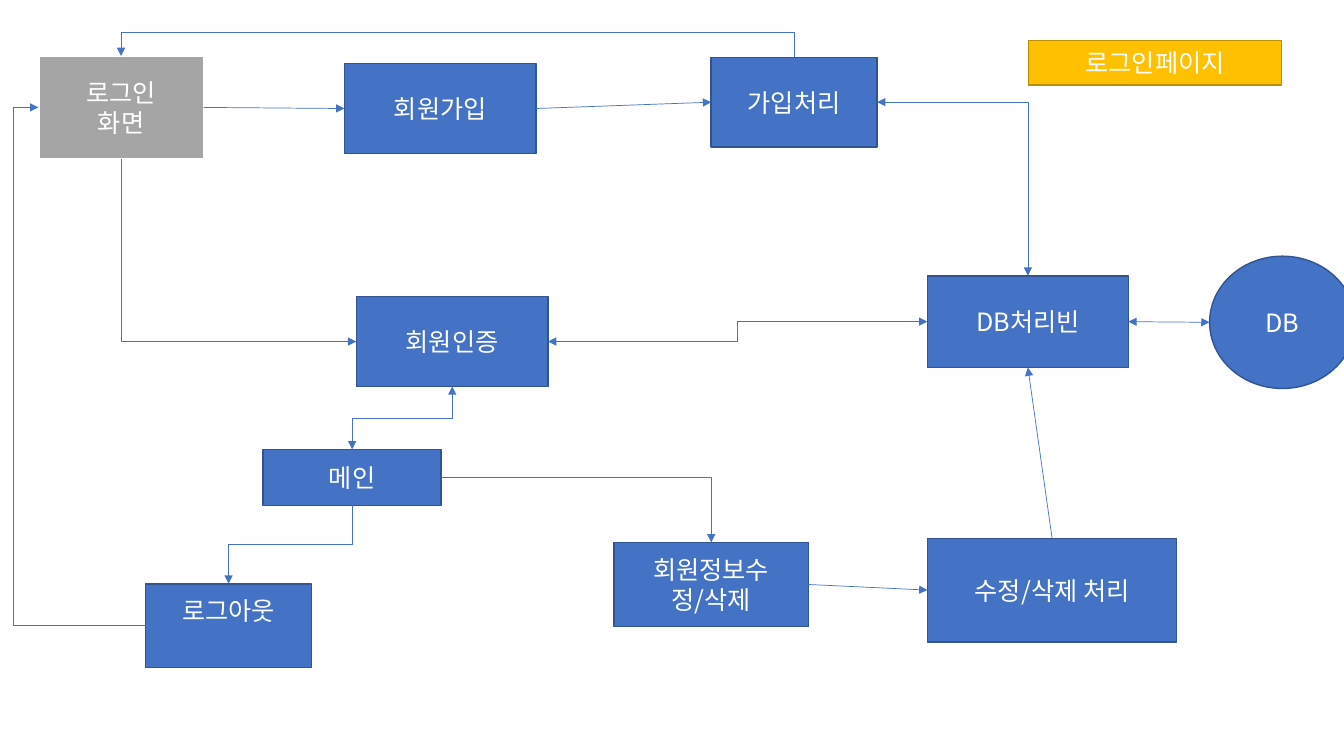
from lxml.etree import SubElement
from pptx import Presentation
from pptx.dml.color import RGBColor
from pptx.enum.shapes import MSO_CONNECTOR as Connector, MSO_SHAPE as Shape
from pptx.enum.text import MSO_ANCHOR as Anchor, MSO_AUTO_SIZE as AutoSize, PP_ALIGN as Align
from pptx.oxml.ns import qn
from pptx.util import Pt

WHITE = RGBColor(0xFF, 0xFF, 0xFF)
GRAY = RGBColor(0xA5, 0xA5, 0xA5)
BLUE = RGBColor(0x44, 0x72, 0xC4)
DARK_BLUE = RGBColor(0x32, 0x54, 0x91)
GOLD = RGBColor(0xFF, 0xC0, 0x00)
DARK_GOLD = RGBColor(0xBD, 0x8E, 0x00)

FONT_NAME = "Noto Sans CJK KR"
FONT_FORMAT = {"name": FONT_NAME, "size": Pt(18), "bold": False}
FRAME_FORMAT = {
    "word_wrap": True, "auto_size": AutoSize.NONE, "vertical_anchor": Anchor.MIDDLE,
    "margin_left": Pt(7.2), "margin_right": Pt(7.2),
    "margin_top": Pt(3.6), "margin_bottom": Pt(3.6),
}

TITLE_BOX = (734.5, 28.8, 181, 32)
NODES = {
    "login": ("로그인\n화면", (27.5, 40, 118, 73.5)),
    "signup": ("회원가입", (246, 45.5, 137, 64)),
    "join": ("가입처리", (508, 41, 118.5, 64)),
    "bean": ("DB처리빈", (662.5, 197, 143.5, 65.5)),
    "database": ("DB", (864, 183, 104, 94.5)),
    "auth": ("회원인증", (254.5, 212, 137, 64)),
    "main": ("메인", (188, 321, 127, 40)),
    "logout": ("로그아웃", (104, 417, 118.5, 60)),
    "edit": ("회원정보수정/삭제", (438.5, 387.5, 139, 60)),
    "process": ("수정/삭제 처리", (662.5, 384.5, 178, 74)),
}
LOOKS = {
    "login": {"fill": GRAY, "line": WHITE, "width": 1.5},
    "database": {"kind": Shape.OVAL},
    "logout": {"bottom": 25},
}

SIDES = {"top": (0.5, 0), "left": (0, 0.5), "bottom": (0.5, 1), "right": (1, 0.5)}
RECTANGLE_SITES = {"top": 0, "left": 1, "bottom": 2, "right": 3}
OVAL_SITES = {"top": 0, "left": 2, "bottom": 4, "right": 6}

STRAIGHT_LINKS = [
    ("login", "right", "signup", "left", False),
    ("signup", "right", "join", "left", False),
    ("bean", "right", "database", "left", True),
    ("edit", "right", "process", "left", False),
    ("process", "top", "bean", "bottom", False),
]
BENT_LINKS = [
    ("join", "top", "login", "top", False, 3, 18),
    ("join", "right", "bean", "top", True, 2, None),
    ("login", "bottom", "auth", "left", False, 2, None),
    ("auth", "right", "bean", "left", True, 3, 0.5),
    ("auth", "bottom", "main", "top", True, 3, 0.5),
    ("logout", "left", "login", "left", False, 3, 1.23),
    ("main", "bottom", "logout", "top", False, 3, 0.5),
    ("main", "right", "edit", "top", False, 2, None),
]


def set_values(target, values):
    for name, value in values.items():
        setattr(target, name, value)


def place(shape, box):
    set_values(shape, dict(zip(("left", "top", "width", "height"), map(Pt, box))))


def paint(shape, fill, line, width):
    shape.fill.solid()
    shape.fill.fore_color.rgb = fill
    shape.line.color.rgb = line
    shape.line.width = Pt(width)
    shape.shadow.inherit = False


def write(shape, text):
    frame = shape.text_frame
    set_values(frame, FRAME_FORMAT)
    frame.text = text
    for paragraph in frame.paragraphs:
        set_values(paragraph, {"alignment": Align.CENTER, "line_spacing": 1.0})
        for run in paragraph.runs:
            set_values(run.font, FONT_FORMAT)
            run.font.color.rgb = WHITE
            SubElement(run.font._element, qn("a:ea"), typeface=FONT_NAME)


def add_title(slide, box):
    title = slide.shapes.title
    place(title, box)
    paint(title, GOLD, DARK_GOLD, 1)
    write(title, "로그인페이지")


def add_node(slide, text, box, kind=Shape.RECTANGLE, fill=BLUE, line=DARK_BLUE,
             width=1, bottom=3.6):
    shape = slide.shapes.add_shape(kind, *map(Pt, box))
    paint(shape, fill, line, width)
    write(shape, text)
    shape.text_frame.margin_bottom = Pt(bottom)
    return shape


def site_point(shape, side):
    across, down = SIDES[side]
    return shape.left + int(shape.width * across), shape.top + int(shape.height * down)


def site_index(shape, side):
    sites = OVAL_SITES if shape.auto_shape_type == Shape.OVAL else RECTANGLE_SITES
    return sites[side]


def add_link(slide, nodes, source, source_side, target, target_side, both_ends,
             kind=Connector.STRAIGHT):
    start, end = nodes[source], nodes[target]
    points = site_point(start, source_side) + site_point(end, target_side)
    connector = slide.shapes.add_connector(kind, *points)
    connector.begin_connect(start, site_index(start, source_side))
    connector.end_connect(end, site_index(end, target_side))
    set_values(connector, dict(zip(("begin_x", "begin_y", "end_x", "end_y"), points)))
    connector.line.color.rgb = BLUE
    connector.line.width = Pt(0.5)
    line = connector.line._get_or_add_ln()
    if both_ends:
        SubElement(line, qn("a:headEnd"), type="triangle")
    SubElement(line, qn("a:tailEnd"), type="triangle")
    SubElement(connector._element.spPr, qn("a:effectLst"))
    return connector, points


def add_bent_link(slide, nodes, source, source_side, target, target_side, both_ends,
                  segments, bend):
    connector, points = add_link(slide, nodes, source, source_side, target,
                                 target_side, both_ends, Connector.ELBOW)
    properties = connector._element.spPr
    geometry = properties.find(qn("a:prstGeom"))
    geometry.set("prst", f"bentConnector{segments}")
    if bend is not None:
        guides = geometry.find(qn("a:avLst"))
        SubElement(guides, qn("a:gd"), name="adj1", fmla=f"val {round(bend * 100000)}")
    if source_side in ("top", "bottom"):
        begin_x, begin_y, end_x, end_y = points
        run, rise = end_x - begin_x, end_y - begin_y
        width, height = abs(rise), abs(run)
        set_values(connector, {
            "left": (begin_x + end_x - width) // 2,
            "top": (begin_y + end_y - height) // 2,
            "width": width, "height": height,
            "rotation": 90 if rise > 0 else 270,
        })
        transform = properties.find(qn("a:xfrm"))
        transform.set("rot", str((90 if rise > 0 else 270) * 60000))
        transform.set("flipH", "0")
        transform.set("flipV", "1" if (run > 0) == (rise > 0) else "0")


def add_flow(slide):
    nodes = {name: add_node(slide, text, box, **LOOKS.get(name, {}))
             for name, (text, box) in NODES.items()}
    for link in STRAIGHT_LINKS:
        add_link(slide, nodes, *link)
    for link in BENT_LINKS:
        add_bent_link(slide, nodes, *link)


def main():
    presentation = Presentation()
    set_values(presentation, {"slide_width": Pt(960), "slide_height": Pt(540)})
    slide = presentation.slides.add_slide(presentation.slide_layouts[5])
    add_title(slide, TITLE_BOX)
    add_flow(slide)
    presentation.save("out.pptx")


if __name__ == "__main__":
    main()
